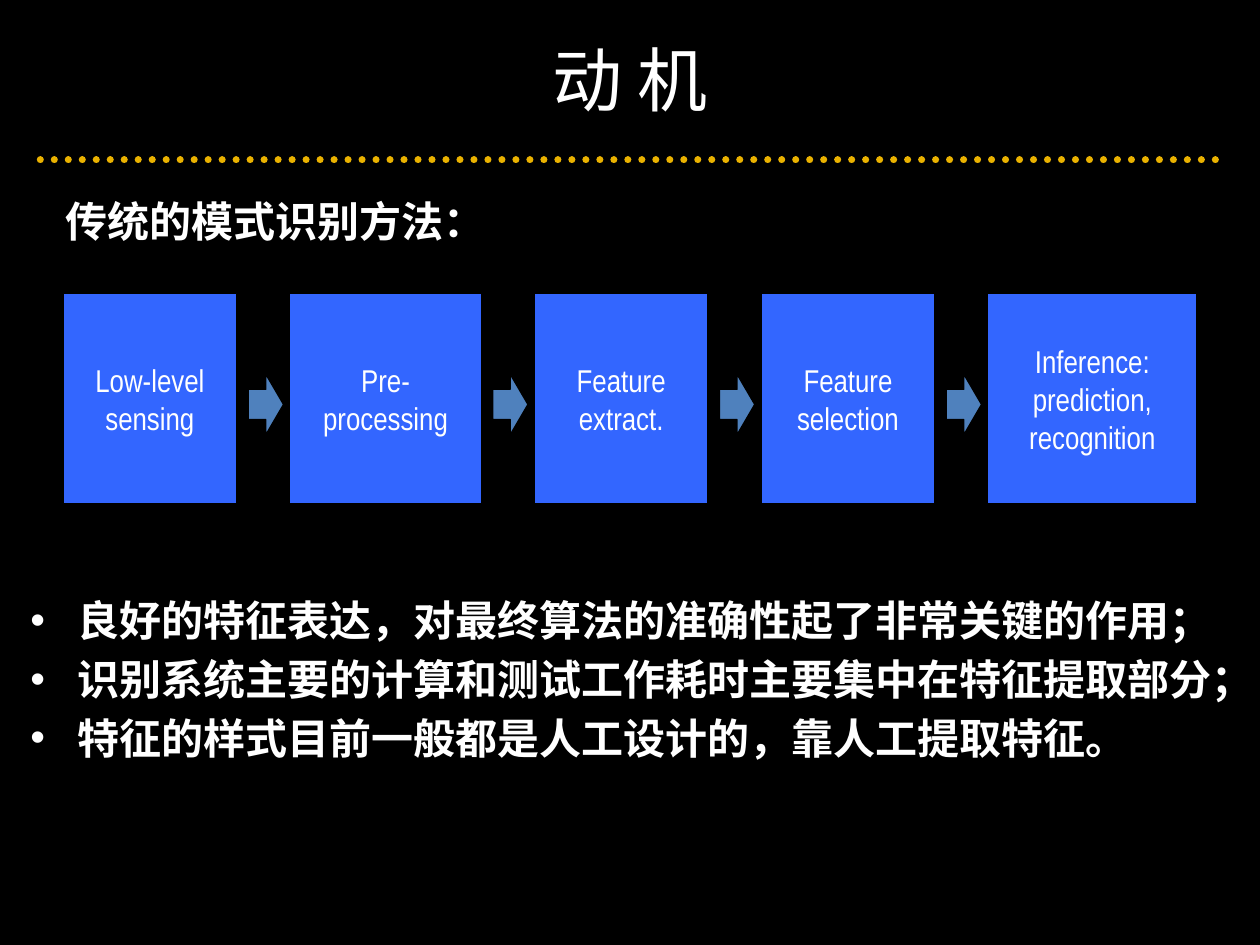
import pptx
import pptx.util
import pptx.oxml.ns
import pptx.dml.color
import pptx.enum.dml
import pptx.enum.shapes
import pptx.enum.text
import lxml.etree

COLORS = {
    "background": "000000",
    "text": "FFFFFF",
    "rule": "EAB200",
    "stage": "3366FF",
    "arrow": "4F81BD",
    "outline": "000000",
}
COLUMNS, ROWS = 100, 75
ALIGN = pptx.enum.text.PP_ALIGN
ANCHOR = pptx.enum.text.MSO_ANCHOR
SHAPE = pptx.enum.shapes.MSO_SHAPE


def rgb(role):
    return pptx.dml.color.RGBColor.from_string(COLORS[role])


class SlideBuilder:
    """Holds the style and the current slide; lengths are grid columns and rows."""

    def __init__(self, deck):
        self.column = deck.slide_width / COLUMNS
        self.row = deck.slide_height / ROWS
        self.slide = deck.slides.add_slide(deck.slide_layouts[1])
        fill = self.slide.background.fill
        fill.solid()
        fill.fore_color.rgb = rgb("background")

    def area(self, left, top, width, height):
        return (round(left * self.column), round(top * self.row),
                round(width * self.column), round(height * self.row))

    def set_text(self, frame, lines, font, size, bold=False, align=ALIGN.LEFT,
                 anchor=ANCHOR.TOP, gap=0):
        frame.word_wrap = True
        frame.auto_size = pptx.enum.text.MSO_AUTO_SIZE.NONE
        frame.vertical_anchor = anchor
        frame.text = "\n".join(lines)
        for number, paragraph in enumerate(frame.paragraphs):
            paragraph.alignment = align
            paragraph.space_before = pptx.util.Pt(gap if number else 0)
            for run in paragraph.runs:
                run.font.name = font
                run.font.size = pptx.util.Pt(size)
                run.font.bold = bold
                run.font.color.rgb = rgb("text")

    def placeholder(self, index, area, lines, **style):
        holder = self.slide.placeholders[index]
        holder.left, holder.top, holder.width, holder.height = self.area(*area)
        self.set_text(holder.text_frame, lines, **style)

    def label(self, area, text, **style):
        box = self.slide.shapes.add_textbox(*self.area(*area))
        self.set_text(box.text_frame, [text], **style)

    def block(self, kind, area, role):
        block = self.slide.shapes.add_shape(kind, *self.area(*area))
        block.shadow.inherit = False
        block.fill.solid()
        block.fill.fore_color.rgb = rgb(role)
        block.line.color.rgb = rgb("outline")
        block.line.width = pptx.util.Pt(0.75)
        return block

    def dotted_rule(self, left, right, top):
        x1, y, length, _ = self.area(left, top, right - left, 0)
        rule = self.slide.shapes.add_connector(
            pptx.enum.shapes.MSO_CONNECTOR.STRAIGHT, x1, y, x1 + length, y)
        rule.line.color.rgb = rgb("rule")
        rule.line.width = pptx.util.Pt(4)
        rule.line.dash_style = pptx.enum.dml.MSO_LINE.ROUND_DOT
        properties = rule._element.spPr
        properties.find(pptx.oxml.ns.qn("a:ln")).set("cap", "rnd")
        lxml.etree.SubElement(properties, pptx.oxml.ns.qn("a:effectLst"))

    def pipeline(self, stages, left, top, height, gap):
        for number, (stage, width) in enumerate(stages):
            if number:
                # Arrow in the gap before this stage
                self.block(SHAPE.RIGHT_ARROW,
                           (left - gap + 0.9, top + 6.4, 2.8, 4.8), "arrow")
            box = self.block(SHAPE.RECTANGLE, (left, top, width, height), "stage")
            self.set_text(box.text_frame, [stage], font="Arial Narrow", size=18,
                          align=ALIGN.CENTER, anchor=ANCHOR.MIDDLE)
            left += width + gap


def main():
    deck = pptx.Presentation()
    deck.slide_width = pptx.util.Inches(10)
    deck.slide_height = pptx.util.Inches(7.5)
    builder = SlideBuilder(deck)

    # Title and rule
    builder.placeholder(0, (5, 0, 90, 12.5), ["动 机"], font="Calibri", size=40,
                        align=ALIGN.CENTER, anchor=ANCHOR.MIDDLE)
    builder.dotted_rule(3.2, 97.5, 12.7)

    # Conclusions
    builder.placeholder(1, (1.4, 46.7, 103.3, 18.3), [
        "良好的特征表达，对最终算法的准确性起了非常关键的作用；",
        "识别系统主要的计算和测试工作耗时主要集中在特征提取部分；",
        "特征的样式目前一般都是人工设计的，靠人工提取特征。",
    ], font="Arial", size=24, bold=True, gap=4.8)

    # Traditional recognition pipeline
    builder.label((4.2, 15, 37.5, 5), "传统的模式识别方法：",
                  font="Times New Roman", size=24, bold=True)
    builder.pipeline([
        ("Low-level sensing", 13.8),
        ("Pre-processing", 15.2),
        ("Feature extract.", 13.8),
        ("Feature selection", 13.8),
        ("Inference: prediction, recognition", 16.6),
    ], left=5, top=23.3, height=16.7, gap=4.2)

    deck.save("out.pptx")


if __name__ == "__main__":
    main()
